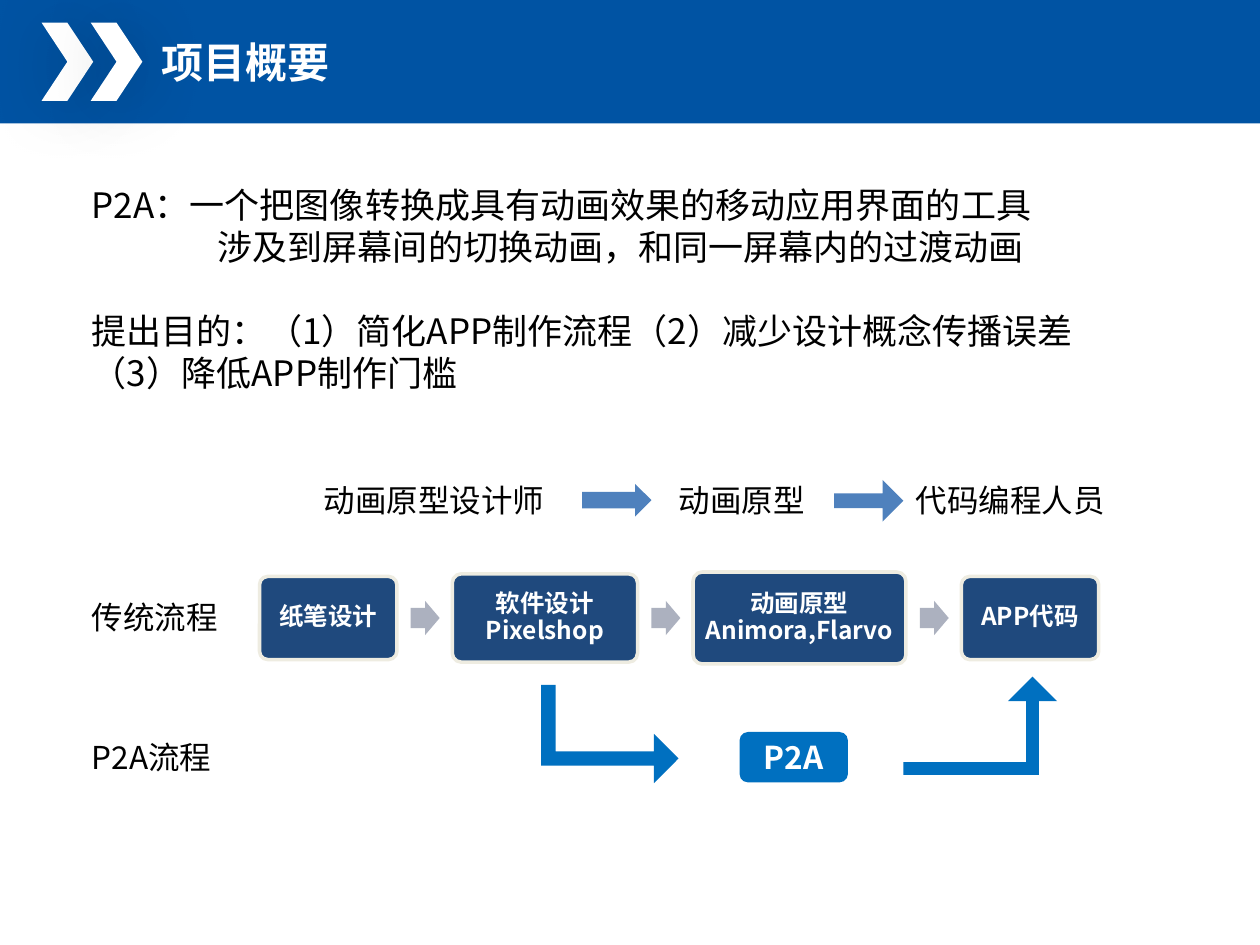
from dataclasses import dataclass

from lxml import etree
from pptx import Presentation, util as u
from pptx.dml.color import RGBColor
from pptx.enum import shapes, text
from pptx.oxml import parse_xml
from pptx.oxml.ns import nsdecls, qn

COLS, ROWS = 100, 75
UNIT = u.Inches(0.1)
KIND = shapes.MSO_SHAPE


@dataclass(frozen=True)
class Theme:
    font: str = "Noto Sans CJK SC"
    white: str = "FFFFFF"
    black: str = "000000"
    band: str = "0053A3"
    navy: str = "1F497D"
    cream: str = "EEECE1"
    gray: str = "ACB1BF"
    steel: str = "4F81BD"
    blue: str = "0070C0"
    head: float = 24
    body: float = 20
    label: float = 18
    stage: float = 14


@dataclass(frozen=True)
class Box:
    col: float
    row: float
    wide: float
    high: float

    def place(self) -> list[int]:
        return [round(n * UNIT) for n in (self.col, self.row, self.wide, self.high)]


@dataclass(frozen=True)
class Label:
    words: str
    box: Box
    size: float
    tint: str = "000000"
    bold: bool = False
    tab: float = 0


@dataclass(frozen=True)
class Stage:
    words: str
    wide: float
    high: float


THEME = Theme()
LABELS = [
    Label("项目概要", Box(11.8, 2.4, 38.8, 5), THEME.head, THEME.white, True),
    Label("P2A：一个把图像转换成具有动画效果的移动应用界面的工具\v\t涉及到屏幕间的切换动画，和同一屏幕内的过渡动画",
          Box(6.3, 14.1, 80.7, 7.7), THEME.body, tab=10),
    Label("提出目的：（1）简化APP制作流程（2）减少设计概念传播误差\t（3）降低APP制作门槛",
          Box(6.3, 24.1, 81.5, 7.7), THEME.body, tab=13.1),
    Label("动画原型设计师", Box(24.7, 37.7, 19.7, 4), THEME.label),
    Label("动画原型", Box(52.9, 37.7, 12.1, 4), THEME.label),
    Label("代码编程人员", Box(71.7, 37.7, 17.2, 4), THEME.label),
    Label("传统流程", Box(6.3, 47, 15, 4), THEME.label),
    Label("P2A流程", Box(6.3, 58.1, 11.9, 4), THEME.label),
]
STAGES = [
    Stage("纸笔设计", 10.9, 6.6),
    Stage("软件设计\vPixelshop", 14.7, 7),
    Stage("动画原型\vAnimora,Flarvo", 16.9, 7.3),
    Stage("APP代码", 10.9, 6.6),
]


def style(frame, words: str, size: float, tint: str, bold: bool):
    frame.word_wrap = True
    para = frame.paragraphs[0]
    para.text = words
    font = para.font
    font.name, font.size, font.bold = THEME.font, u.Pt(size), bold
    font.color.rgb = RGBColor.from_string(tint)
    base = para._p.pPr.find(qn("a:defRPr"))
    latin = base.find(qn("a:latin"))
    latin.addnext(parse_xml(f'<a:ea {nsdecls("a")} typeface="{THEME.font}"/>'))
    return para


def write(slide, item: Label) -> None:
    frame = slide.shapes.add_textbox(*item.box.place()).text_frame
    frame.auto_size = text.MSO_AUTO_SIZE.SHAPE_TO_FIT_TEXT
    para = style(frame, item.words, item.size, item.tint, item.bold)
    if item.tab:
        stops = etree.Element(qn("a:tabLst"))
        etree.SubElement(stops, qn("a:tab"), pos=str(round(item.tab * UNIT)), algn="l")
        para._p.pPr.find(qn("a:defRPr")).addprevious(stops)


def draw(slide, kind, box: Box, fill: str, adjust: tuple[float, ...] = ()):
    shape = slide.shapes.add_shape(kind, *box.place())
    shape.shadow.inherit = False
    shape.fill.solid()
    shape.fill.fore_color.rgb = RGBColor.from_string(fill)
    shape.line.fill.background()
    for spot, value in enumerate(adjust):
        shape.adjustments[spot] = value
    return shape


def center(shape, words: str, size: float):
    frame = shape.text_frame
    frame.vertical_anchor = text.MSO_ANCHOR.MIDDLE
    para = style(frame, words, size, THEME.white, True)
    para.alignment = text.PP_ALIGN.CENTER
    return para


def shade(shape) -> None:
    glow = shape._element.spPr.find(qn("a:effectLst"))
    glow.append(parse_xml(
        f'<a:outerShdw {nsdecls("a")} blurRad="{u.Pt(39)}" dist="{u.Pt(3)}" dir="2700000" '
        f'algn="tl" rotWithShape="0"><a:srgbClr val="{THEME.black}">'
        '<a:alpha val="20000"/></a:srgbClr></a:outerShdw>'))


def draw_band(slide) -> None:
    draw(slide, KIND.RECTANGLE, Box(0, 0, COLS, 9.8), THEME.band)
    for step in range(2):
        shade(draw(slide, KIND.CHEVRON, Box(3.3 + 3.9 * step, 1.8, 4.1, 6.2), THEME.white))


def draw_stage(slide, item: Stage, left: float, mid: float) -> None:
    box = Box(left, mid - item.high / 2, item.wide, item.high)
    shape = draw(slide, KIND.ROUNDED_RECTANGLE, box, THEME.navy, (0.1,))
    shape.line.color.rgb = RGBColor.from_string(THEME.cream)
    shape.line.width = u.Pt(2)
    frame = shape.text_frame
    frame.margin_left = frame.margin_right = u.Inches(0.06)
    frame.margin_top = frame.margin_bottom = u.Inches(0.06)
    center(shape, item.words, THEME.stage).line_spacing = 0.9


def draw_flow(slide, left: float = 20.6, mid: float = 49.05, gap: float = 4.4) -> None:
    for item in STAGES:
        draw_stage(slide, item, left, mid)
        left += item.wide + gap
        if item is not STAGES[-1]:
            arrow = Box(left - gap + 1.1, mid - 1.35, 2.3, 2.7)
            draw(slide, KIND.RIGHT_ARROW, arrow, THEME.gray, (0.6, 0.5))


def draw_route(slide) -> None:
    draw(slide, KIND.RIGHT_ARROW, Box(46.2, 38.4, 5.5, 2.6), THEME.steel)
    draw(slide, KIND.RIGHT_ARROW, Box(66.2, 38.1, 5.5, 3.3), THEME.steel, (0.357, 0.5))
    tool = draw(slide, KIND.ROUNDED_RECTANGLE, Box(58.7, 58.1, 8.6, 4), THEME.blue)
    center(tool, "P2A", THEME.label)
    down = draw(slide, KIND.BENT_UP_ARROW, Box(44.5, 52.8, 7.8, 10.9), THEME.blue,
                (0.146, 0.25, 0.25))
    down.rotation = 90
    draw(slide, KIND.BENT_UP_ARROW, Box(71.7, 53.7, 12.2, 7.8), THEME.blue, (0.13, 0.25, 0.25))


def main() -> None:
    deck = Presentation()
    deck.slide_width, deck.slide_height = COLS * UNIT, ROWS * UNIT
    slide = deck.slides.add_slide(deck.slide_layouts[6])
    draw_band(slide)
    for item in LABELS:
        write(slide, item)
    draw_flow(slide)
    draw_route(slide)
    deck.save("out.pptx")


if __name__ == "__main__":
    main()
